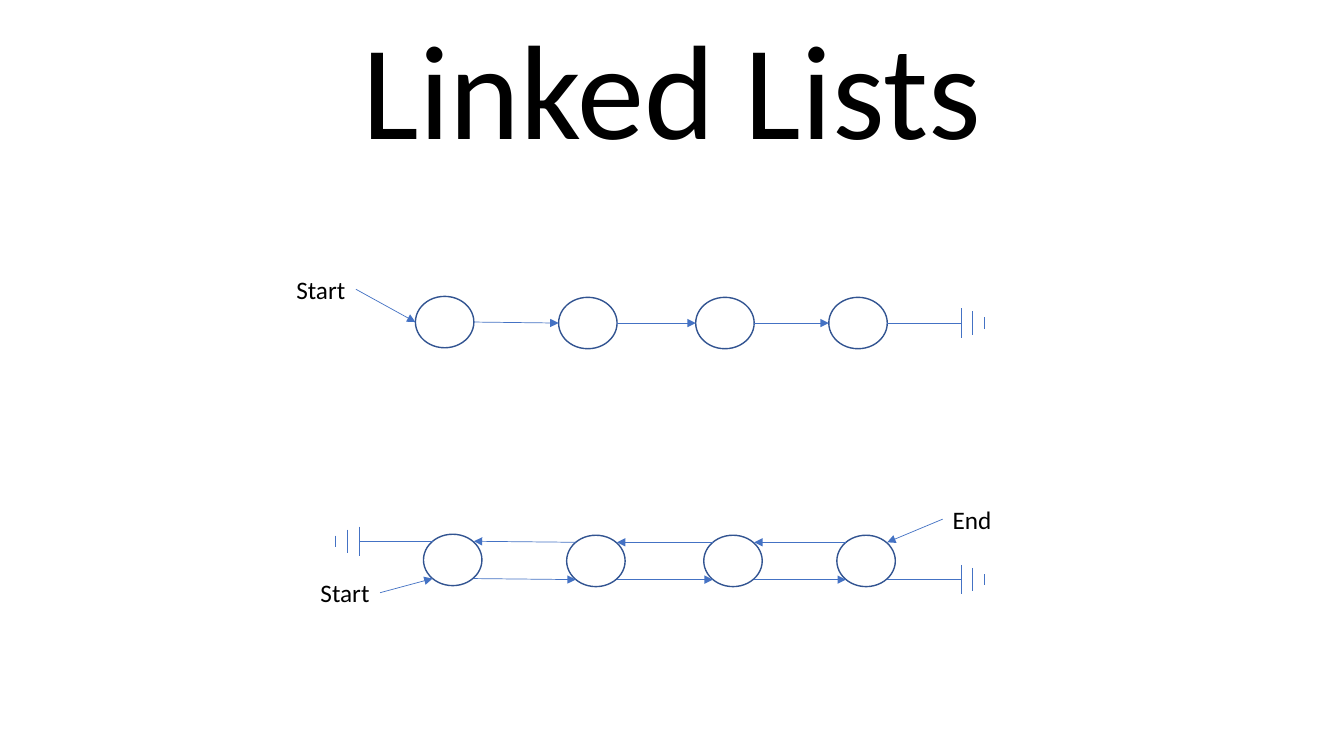
from itertools import pairwise

from lxml import etree
from pptx import Presentation
from pptx.dml.color import RGBColor
from pptx.enum import shapes, text
from pptx.oxml import ns
from pptx.util import Inches, Pt

NODE_W, NODE_H = 0.58, 0.51
NODES = ((0, 0), (1.42, 0.01), (2.78, 0.01), (4.1, 0.01))
LABEL_H = 0.4
GROUND_WIRE = 0.73
GROUND_BARS = ((0, 0.29), (0.11, 0.23), (0.23, 0.11))


def color(value):
    return RGBColor.from_string(value)


def add_text(s, box, words, size, align=text.PP_ALIGN.LEFT):
    tf = s.shapes.add_textbox(*map(Inches, box)).text_frame
    tf.word_wrap = True
    p = tf.paragraphs[0]
    p.text = words
    p.alignment = align
    p.font.name = "Calibri"
    p.font.size = Pt(size)
    p.font.color.rgb = color("000000")


def add_line(s, start, end, arrow=False):
    c = s.shapes.add_connector(
        shapes.MSO_CONNECTOR.STRAIGHT, *map(Inches, (*start, *end)))
    c.line.color.rgb = color("4472C4")
    c.line.width = Pt(0.5)
    if arrow:
        tail = etree.SubElement(c.line._get_or_add_ln(), ns.qn("a:tailEnd"))
        tail.set("type", "triangle")
    etree.SubElement(c._element.spPr, ns.qn("a:effectLst"))


def add_nodes(s, left, top):
    corners = [(left + dx, top + dy) for dx, dy in NODES]
    for x, y in corners:
        sp = s.shapes.add_shape(
            shapes.MSO_SHAPE.OVAL, *map(Inches, (x, y, NODE_W, NODE_H)))
        sp.shadow.inherit = False
        sp.fill.background()
        sp.line.color.rgb = color("325491")
        sp.line.width = Pt(1)
    return corners


def add_links(s, starts, ends):
    for start, end in zip(starts, ends):
        add_line(s, start, end, arrow=True)


def add_ground(s, start, direction=1):
    x, y = start
    plate = x + direction * GROUND_WIRE
    add_line(s, start, (plate, y))
    for offset, height in GROUND_BARS:
        bar = plate + direction * offset
        add_line(s, (bar, y - height / 2), (bar, y + height / 2))


def add_start(s, left, top, target):
    width = 0.69
    add_text(s, (left, top, width, LABEL_H), "Start", 18)
    add_line(s, (left + width, top + LABEL_H / 2), target, arrow=True)


def add_end(s, left, top, target):
    add_text(s, (left, top, 0.59, LABEL_H), "End", 18)
    add_line(s, (left, top + LABEL_H / 2), target, arrow=True)


def anchors(corners, dx, dy):
    return [(x + dx, y + dy) for x, y in corners]


def single_list(s, left, top):
    corners = add_nodes(s, left, top)
    entries = anchors(corners, 0, NODE_H / 2)
    exits = anchors(corners, NODE_W, NODE_H / 2)
    add_links(s, exits, entries[1:])
    add_ground(s, exits[-1])
    add_start(s, left - 1.28, top - 0.27, entries[0])


def double_list(s, left, top):
    corners = add_nodes(s, left, top)
    near, far = 0.09, 0.5
    upper, lower = 0.07, 0.44
    upper_left, upper_right, lower_left, lower_right = (
        anchors(corners, dx, dy) for dy in (upper, lower) for dx in (near, far))
    add_links(s, lower_right, lower_left[1:])
    add_links(s, upper_left[1:], upper_right)
    add_ground(s, lower_right[-1])
    add_ground(s, upper_left[0], direction=-1)
    add_start(s, left - 1.12, top + 0.38, lower_left[0])
    add_end(s, left + 5.15, top - 0.35, upper_right[-1])


prs = Presentation()
prs.slide_width, prs.slide_height = Inches(13.33), Inches(7.5)
s = prs.slides.add_slide(prs.slide_layouts[6])
single_list(s, 4.12, 2.94)
double_list(s, 4.2, 5.3)
add_text(s, (0, 0, 13.33, 1.72), "Linked Lists", 96, text.PP_ALIGN.CENTER)
prs.save("out.pptx")
